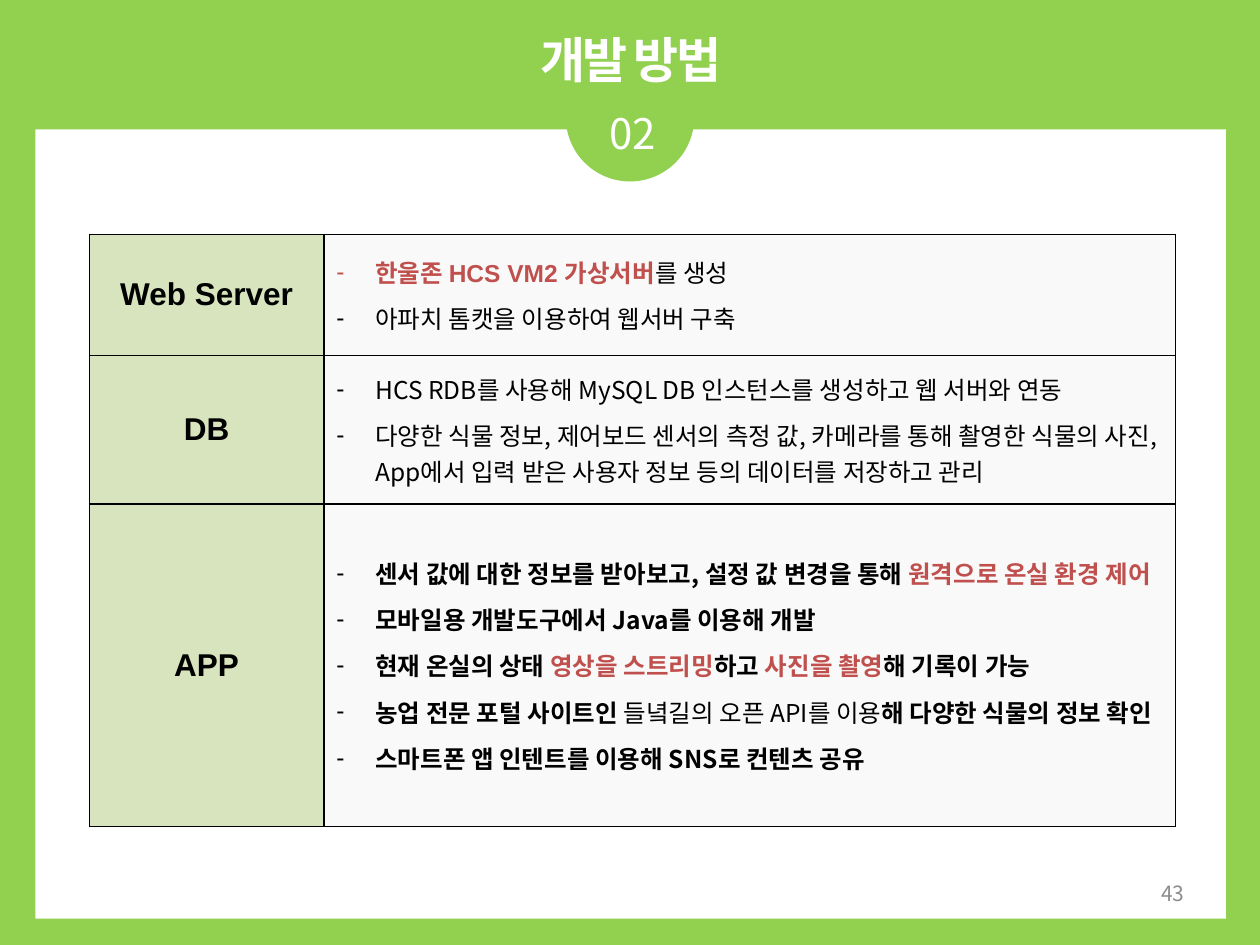
"""Build the development method slide with its table of three parts."""
from dataclasses import dataclass

from lxml import etree
from pptx import Presentation
from pptx import util as u
from pptx.dml.color import RGBColor
from pptx.enum import shapes, text
from pptx.oxml import ns

WIDTH, HEIGHT = u.Inches(10), u.Inches(7.5)
COLORS = {
    "green": "92D050", "white": "FFFFFF", "black": "000000", "red": "C0504D",
    "gray": "8C8C8C", "label": "D7E4BD", "body": "F9F9F9",
}
SANS, LATIN = "Noto Sans CJK KR", "Arial"
INDENT = u.Inches(0.31)
COLUMNS = (1.86, 6.76)


@dataclass(frozen=True)
class Area:
    """A rectangle in shares of the slide's width and height."""
    left: float
    top: float
    width: float
    height: float

    def box(self) -> tuple[int, int, int, int]:
        return (int(self.left * WIDTH), int(self.top * HEIGHT),
                int(self.width * WIDTH), int(self.height * HEIGHT))


@dataclass(frozen=True)
class Style:
    size: float
    color: str = "black"
    bold: bool = False
    name: str = SANS
    spacing: int = 0


@dataclass(frozen=True)
class Part:
    """A stretch of text within a list item."""
    words: str
    bold: bool = False
    color: str = "black"


@dataclass(frozen=True)
class Section:
    """A table row: its label, its height in inches and its list items."""
    label: str
    height: float
    font: str
    items: tuple[tuple[Part, ...], ...]


def key(words: str) -> Part:
    return Part(words, True, "red")


def strong(words: str) -> Part:
    return Part(words, True)


SECTIONS = (
    Section("Web Server", 0.96, LATIN, (
        (key("한울존 HCS VM2 가상서버"), Part("를 생성")),
        (Part("아파치 톰캣을 이용하여 웹서버 구축"),),
    )),
    Section("DB", 1.18, SANS, (
        (Part("HCS RDB를 사용해 MySQL DB 인스턴스를 생성하고 웹 서버와 연동"),),
        (Part("다양한 식물 정보, 제어보드 센서의 측정 값, 카메라를 통해 촬영한 식물의 사진, "
              "App에서 입력 받은 사용자 정보 등의 데이터를 저장하고 관리"),),
    )),
    Section("APP", 2.56, SANS, (
        (strong("센서 값에 대한 정보를 받아보고, 설정 값 변경을 통해 "), key("원격으로 온실 환경 제어")),
        (strong("모바일용 개발도구에서 Java를 이용해 개발"),),
        (strong("현재 온실의 상태 "), key("영상을 스트리밍"), strong("하고 "),
         key("사진을 촬영"), strong("해 기록이 가능")),
        (strong("농업 전문 포털 사이트인 "), Part("들녘길의 오픈 API를 이용"),
         strong("해 다양한 식물의 정보 확인")),
        (strong("스마트폰 앱 인텐트를 이용해 SNS로 컨텐츠 공유"),),
    )),
)


def rgb(color: str) -> RGBColor:
    return RGBColor.from_string(COLORS[color])


def paint(target, color: str) -> None:
    target.fill.solid()
    target.fill.fore_color.rgb = rgb(color)


def child(parent, tag: str, **attributes: str):
    return etree.SubElement(parent, ns.qn(tag), attributes)


def style_font(font, style: Style) -> None:
    font.size, font.bold, font.name = u.Pt(style.size), style.bold, style.name
    font.color.rgb = rgb(style.color)
    child(font._element, "a:ea", typeface=SANS)
    if style.spacing:
        font._element.set("spc", str(style.spacing))


def add_panel(slide, kind, area: Area, color: str) -> None:
    shape = slide.shapes.add_shape(kind, *area.box())
    shape.shadow.inherit = False
    paint(shape, color)
    shape.line.fill.background()


def add_text(slide, area: Area, words: str, style: Style,
             align=text.PP_ALIGN.CENTER, anchor=text.MSO_ANCHOR.TOP) -> None:
    frame = slide.shapes.add_textbox(*area.box()).text_frame
    frame.word_wrap = True
    frame.vertical_anchor = anchor
    paragraph = frame.paragraphs[0]
    paragraph.text, paragraph.alignment = words, align
    style_font(paragraph.font, style)


def prepare_cell(cell, color: str) -> None:
    cell.vertical_anchor = text.MSO_ANCHOR.MIDDLE
    properties = cell._tc.get_or_add_tcPr()
    for side in ("L", "R", "T", "B"):
        line = child(properties, f"a:ln{side}", w=str(u.Pt(1)))
        child(child(line, "a:solidFill"), "a:srgbClr", val=COLORS["black"])
    paint(cell, color)


def fill_list(frame, section: Section) -> None:
    for index, parts in enumerate(section.items):
        paragraph = frame.add_paragraph() if index else frame.paragraphs[0]
        if index:
            paragraph.space_before = u.Pt(6)
        properties = paragraph._p.get_or_add_pPr()
        properties.set("marL", str(INDENT))
        properties.set("indent", str(-INDENT))
        child(properties, "a:buFont", typeface=LATIN)
        child(properties, "a:buChar", char="-")
        style_font(paragraph.font, Style(14, name=section.font))
        for part in parts:
            run = paragraph.add_run()
            run.text, run.font.bold = part.words, part.bold
            run.font.color.rgb = rgb(part.color)


def add_sections(slide, area: Area) -> None:
    table = slide.shapes.add_table(len(SECTIONS), len(COLUMNS), *area.box()).table
    table.first_row = table.horz_banding = False
    for column, width in zip(table.columns, COLUMNS):
        column.width = u.Inches(width)
    for index, section in enumerate(SECTIONS):
        table.rows[index].height = u.Inches(section.height)
        label, body = table.cell(index, 0), table.cell(index, 1)
        prepare_cell(label, "label")
        prepare_cell(body, "body")
        paragraph = label.text_frame.paragraphs[0]
        paragraph.text, paragraph.alignment = section.label, text.PP_ALIGN.CENTER
        style_font(paragraph.font, Style(18, bold=True, name=LATIN))
        fill_list(body.text_frame, section)


def main() -> None:
    presentation = Presentation()
    presentation.slide_width, presentation.slide_height = WIDTH, HEIGHT
    slide = presentation.slides.add_slide(presentation.slide_layouts[6])
    paint(slide.background, "green")
    add_panel(slide, shapes.MSO_SHAPE.RECTANGLE, Area(0.028, 0.137, 0.945, 0.835), "white")
    add_panel(slide, shapes.MSO_SHAPE.OVAL, Area(0.449, 0.056, 0.102, 0.136), "green")
    add_text(slide, Area(0.449, 0.107, 0.106, 0.067), "02", Style(24, "white"))
    add_text(slide, Area(0.028, 0.025, 0.945, 0.076), "개발 방법",
             Style(28, "white", True, spacing=-150))
    add_text(slide, Area(0.717, 0.919, 0.233, 0.053), "43", Style(12, "gray"),
             text.PP_ALIGN.RIGHT, text.MSO_ANCHOR.MIDDLE)
    add_sections(slide, Area(0.071, 0.248, 0.862, 0.625))
    presentation.save("out.pptx")


if __name__ == "__main__":
    main()
